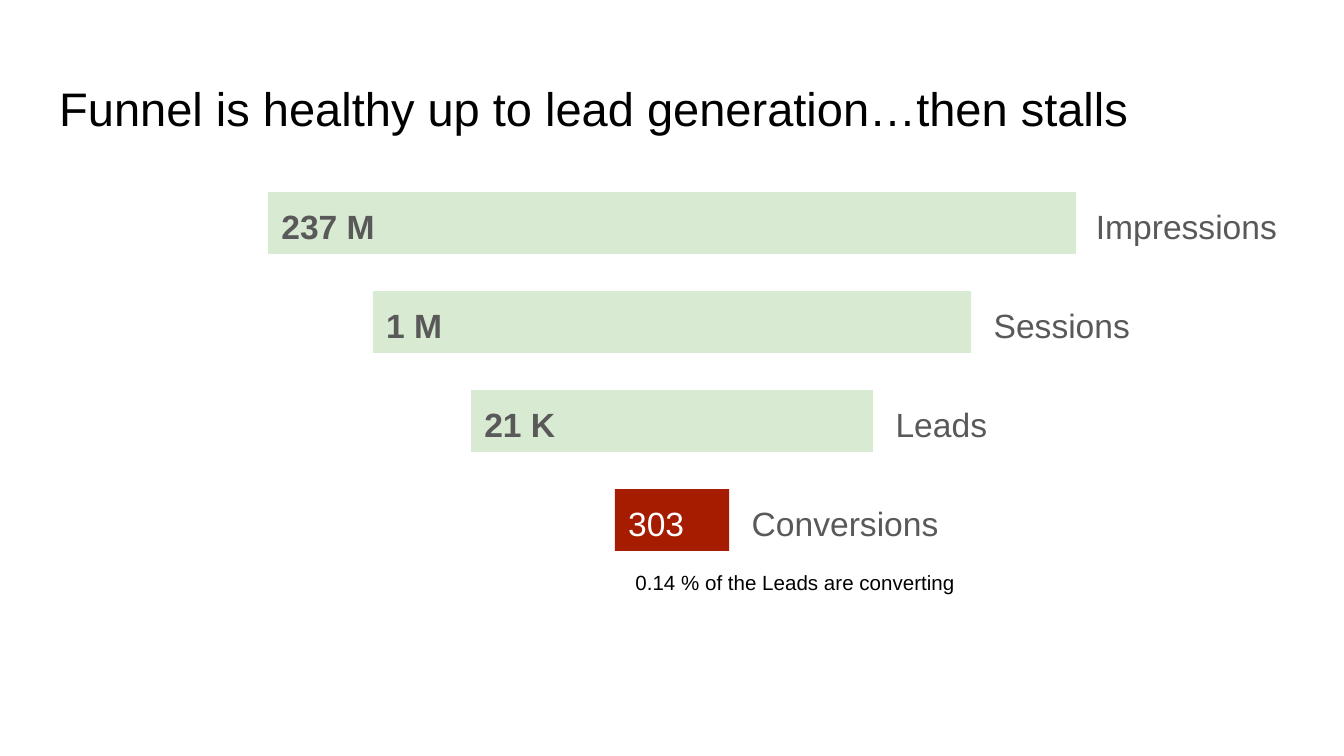
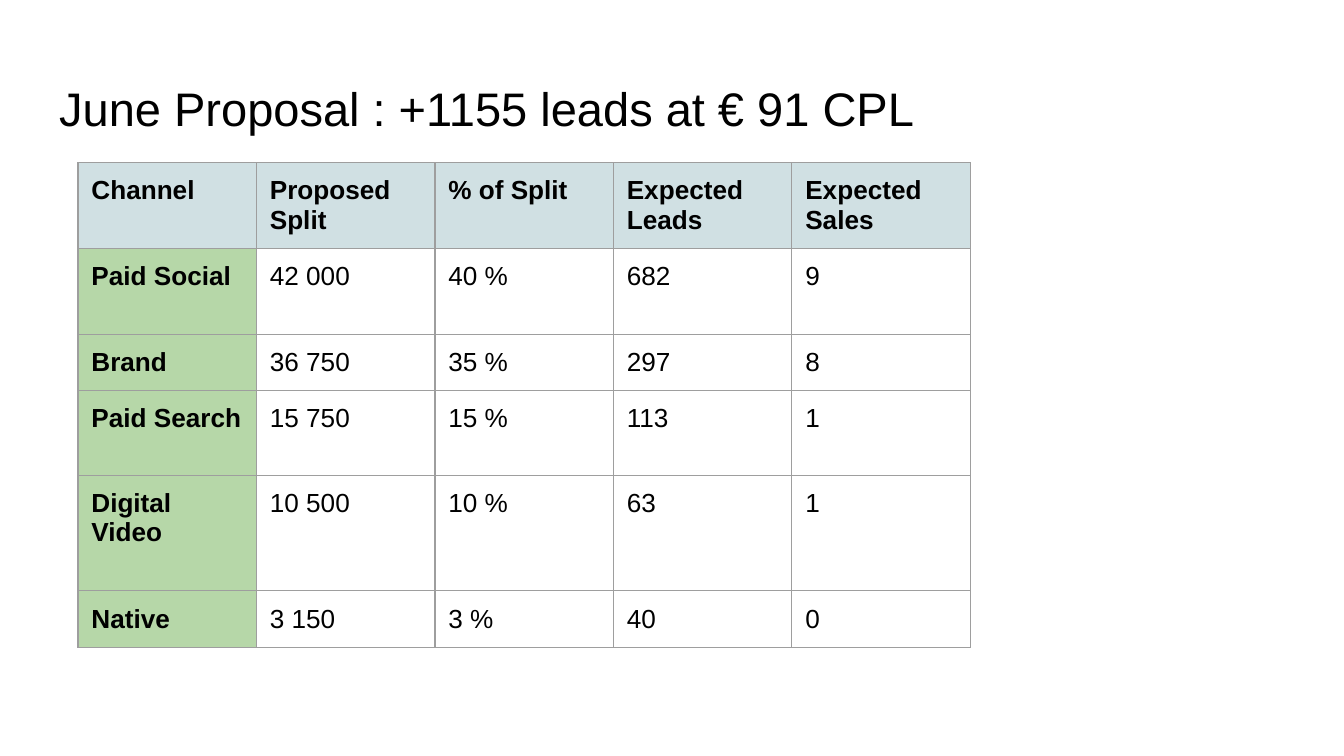
"""Builds a two-slide marketing report: a conversion funnel and a budget proposal table."""
from lxml import etree
from pptx import Presentation
from pptx.dml.color import RGBColor
from pptx.enum.shapes import MSO_SHAPE
from pptx.enum.text import MSO_ANCHOR, PP_ALIGN
from pptx.oxml.ns import qn
from pptx.util import Inches, Pt

RECTANGLE = MSO_SHAPE.RECTANGLE
TOP, MIDDLE, LEFT = MSO_ANCHOR.TOP, MSO_ANCHOR.MIDDLE, PP_ALIGN.LEFT

COLORS = {
    "black": "000000", "grey": "595959", "white": "FFFFFF", "border": "9E9E9E",
    "bar": "D9EAD3", "alert": "A61C00", "header": "D0E0E3", "channel": "B6D7A8",
}
FONT = "Arial"
WIDTH = 10
HEIGHT = WIDTH * 9 / 16
INSET = 0.1
TITLE_BOX = (0.34, 0.49, 9.32, 0.63)

FUNNEL_TITLE = "Funnel is healthy up to lead generation…then stalls"
FUNNEL = [
    ("237 M", "Impressions", 6.01, 0.05, "bar", "grey", True),
    ("1 M", "Sessions", 4.45, 0.07, "bar", "grey", True),
    ("21 K", "Leads", 2.99, 0.07, "bar", "grey", True),
    ("303", "Conversions", 0.85, 0.07, "alert", "white", False),
]
FUNNEL_TOP, FUNNEL_LAST, BAR_HEIGHT, LABEL_WIDTH = 1.43, 3.64, 0.46, 1.72
NOTE = "0.14 % of the Leads are converting"
NOTE_BOX = (4.63, 4.15, 3.16, 0.28)

PROPOSAL_TITLE = "June Proposal : +1155 leads at € 91 CPL"
PROPOSAL = [
    ("Channel", "Proposed Split", "% of Split", "Expected Leads", "Expected Sales"),
    ("Paid Social", "42 000", "40 %", "682", "9"),
    ("Brand", "36 750", "35 %", "297", "8"),
    ("Paid Search", "15 750", "15 %", "113", "1"),
    ("Digital Video", "10 500", "10 %", "63", "1"),
    ("Native", "3 150", "3 %", "40", "0"),
]
TABLE_LEFT, TABLE_TOP, TABLE_WIDTH = 0.58, 1.21, 6.64
ROW_HEIGHTS = (0.63, 0.64, 0.42, 0.63, 0.86, 0.42)


def rgb(name):
    return RGBColor.from_string(COLORS[name])


def write(frame, text, size, color, bold=False, anchor=TOP):
    frame.word_wrap = True
    frame.vertical_anchor = anchor
    frame.margin_left = frame.margin_right = Inches(INSET)
    frame.margin_top = frame.margin_bottom = Inches(INSET)
    frame.text = text
    para = frame.paragraphs[0]
    para.alignment = LEFT
    para.font.name, para.font.size, para.font.bold = FONT, Pt(size), bold
    para.font.color.rgb = rgb(color)


def add_page(deck, title):
    page = deck.slides.add_slide(deck.slide_layouts[5])
    box = page.shapes.title
    box.left, box.top, box.width, box.height = map(Inches, TITLE_BOX)
    write(box.text_frame, title, 25.2, "black", anchor=MIDDLE)
    return page


def add_text(page, place, text, size, color):
    box = page.shapes.add_textbox(*map(Inches, place))
    write(box.text_frame, text, size, color)


def add_bar(page, place, text, fill, color, bold):
    bar = page.shapes.add_shape(RECTANGLE, *map(Inches, place))
    bar.shadow.inherit = False
    bar.fill.solid()
    bar.fill.fore_color.rgb = rgb(fill)
    bar.line.fill.background()
    write(bar.text_frame, text, 18, color, bold)


def add_borders(cell):
    properties = cell._tc.get_or_add_tcPr()
    for side in ("a:lnL", "a:lnR", "a:lnT", "a:lnB"):
        line = etree.SubElement(properties, qn(side), w=str(Pt(0.75)))
        fill = etree.SubElement(line, qn("a:solidFill"))
        etree.SubElement(fill, qn("a:srgbClr"), val=COLORS["border"])


def fill_cell(cell, text, fill):
    add_borders(cell)
    if fill:
        cell.fill.solid()
        cell.fill.fore_color.rgb = rgb(fill)
    else:
        cell.fill.background()
    cell.margin_left = cell.margin_right = Inches(INSET)
    cell.margin_top = cell.margin_bottom = Inches(INSET)
    cell.text = text
    font = cell.text_frame.paragraphs[0].font
    font.name, font.size, font.bold = FONT, Pt(14), bool(fill)
    font.color.rgb = rgb("black")


def build_funnel(deck):
    page = add_page(deck, FUNNEL_TITLE)
    pitch = (FUNNEL_LAST - FUNNEL_TOP) / (len(FUNNEL) - 1)
    for step, (value, label, width, gap, fill, color, bold) in enumerate(FUNNEL):
        left, top = (WIDTH - width) / 2, FUNNEL_TOP + step * pitch
        add_bar(page, (left, top, width, BAR_HEIGHT), value, fill, color, bold)
        label_box = (left + width + gap, top, LABEL_WIDTH, BAR_HEIGHT)
        add_text(page, label_box, label, 18, "grey")
    add_text(page, NOTE_BOX, NOTE, 11, "black")


def build_proposal(deck):
    page = add_page(deck, PROPOSAL_TITLE)
    columns = len(PROPOSAL[0])
    place = (TABLE_LEFT, TABLE_TOP, TABLE_WIDTH, sum(ROW_HEIGHTS))
    table = page.shapes.add_table(len(PROPOSAL), columns, *map(Inches, place)).table
    table.horz_banding = False
    for row, (texts, height) in enumerate(zip(PROPOSAL, ROW_HEIGHTS)):
        table.rows[row].height = Inches(height)
        for column, text in enumerate(texts):
            fill = "header" if row == 0 else "channel" if column == 0 else None
            fill_cell(table.cell(row, column), text, fill)


def main():
    deck = Presentation()
    deck.slide_width, deck.slide_height = Inches(WIDTH), Inches(HEIGHT)
    build_funnel(deck)
    build_proposal(deck)
    deck.save("out.pptx")


if __name__ == "__main__":
    main()
